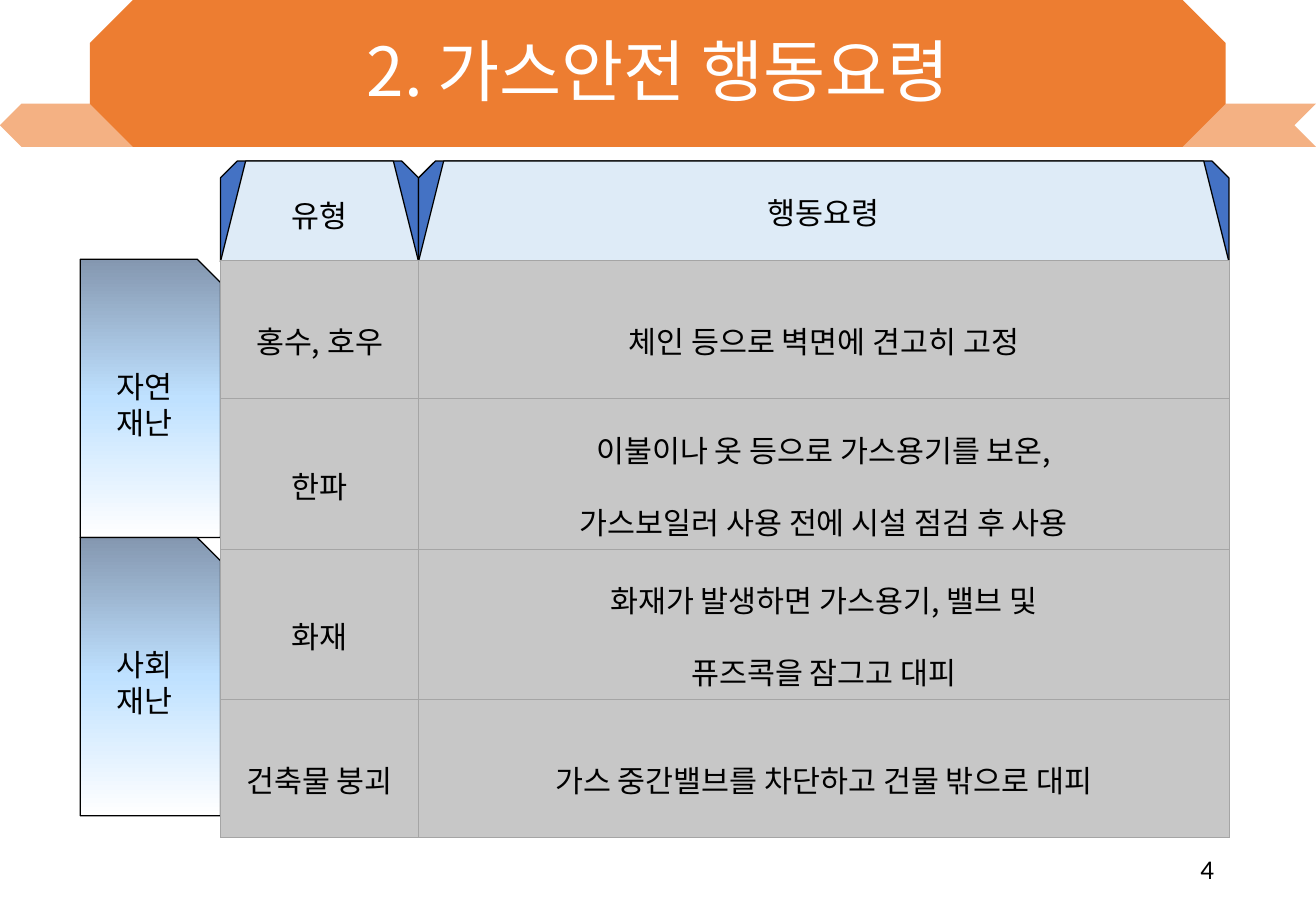
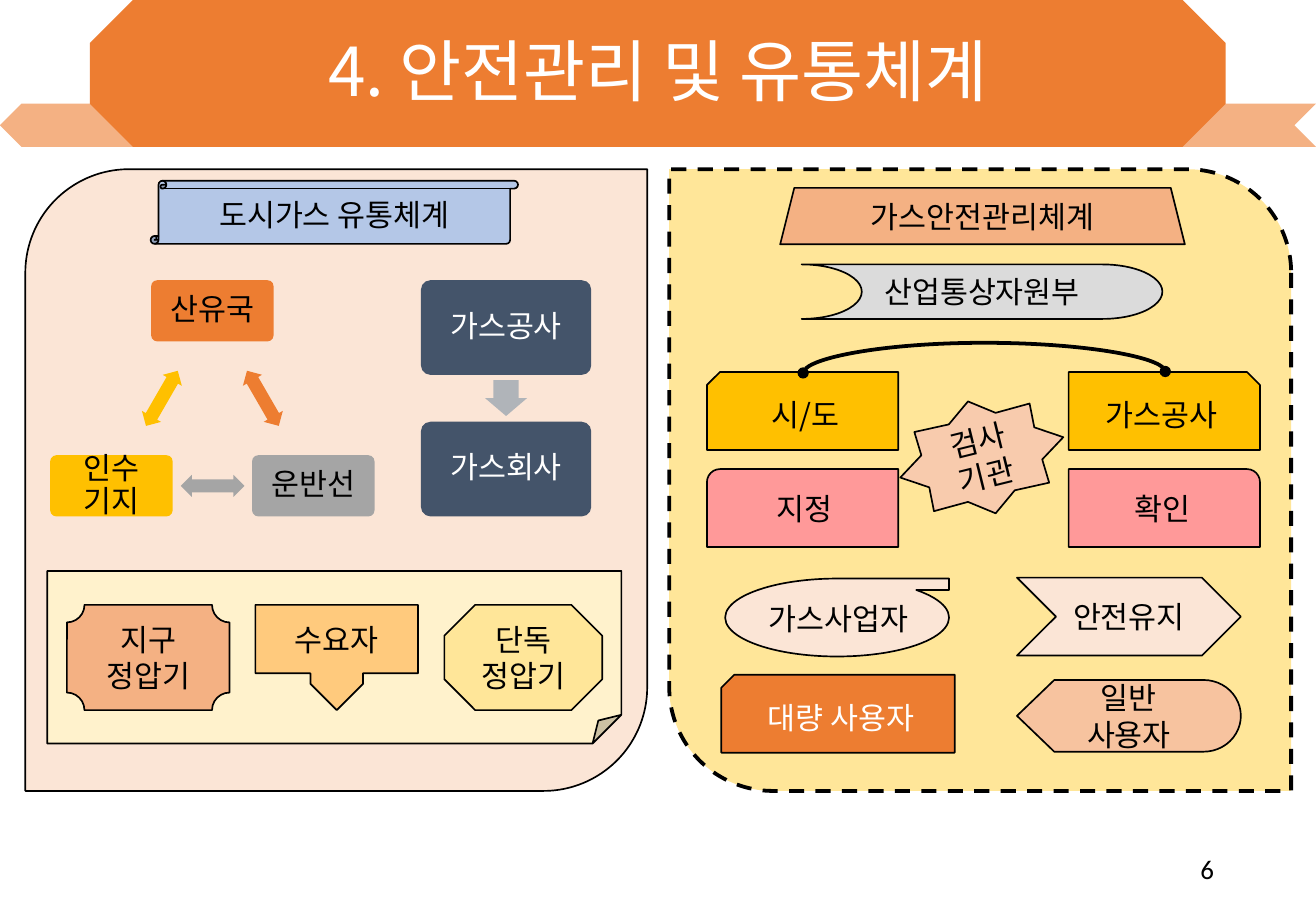
import copy

import pptx
import pptx.dml.color
import pptx.enum.dml
import pptx.enum.shapes
import pptx.enum.text
import pptx.oxml
import pptx.oxml.ns
import pptx.util
from lxml import etree

Cm = pptx.util.Cm
Pt = pptx.util.Pt
RGBColor = pptx.dml.color.RGBColor
SHAPE = pptx.enum.shapes.MSO_SHAPE
ALIGN = pptx.enum.text.PP_ALIGN
MIDDLE = pptx.enum.text.MSO_ANCHOR.MIDDLE
qn = pptx.oxml.ns.qn

KOREAN = "Noto Sans CJK KR"
BLACK = RGBColor(0x00, 0x00, 0x00)
WHITE = RGBColor(0xFF, 0xFF, 0xFF)
ORANGE = RGBColor(0xED, 0x7D, 0x31)
LIGHT_ORANGE = RGBColor(0xF4, 0xB1, 0x83)
SOFT_ORANGE = RGBColor(0xF7, 0xC3, 0x9F)
APRICOT = RGBColor(0xFF, 0xCA, 0x7D)
PEACH = RGBColor(0xF8, 0xCB, 0xAD)
PALE_PEACH = RGBColor(0xFB, 0xE5, 0xD6)
GOLD = RGBColor(0xFF, 0xC0, 0x00)
LIGHT_YELLOW = RGBColor(0xFF, 0xE6, 0x99)
CREAM = RGBColor(0xFF, 0xF2, 0xCC)
PINK = RGBColor(0xFF, 0x99, 0x99)
BLUE = RGBColor(0x44, 0x72, 0xC4)
LIGHT_BLUE = RGBColor(0xB4, 0xC7, 0xE7)
PALE_BLUE = RGBColor(0xDE, 0xEB, 0xF7)
SKY = RGBColor(0xBF, 0xE1, 0xFF)
SLATE = RGBColor(0x84, 0x97, 0xB0)
NAVY = RGBColor(0x44, 0x54, 0x6A)
GRAY = RGBColor(0xA5, 0xA5, 0xA5)
ARROW_GRAY = RGBColor(0xB0, 0xB4, 0xB9)
CELL_GRAY = RGBColor(0xC7, 0xC7, 0xC7)
LIGHT_GRAY = RGBColor(0xDB, 0xDB, 0xDB)


def write_text(frame, text, size=18, color=BLACK, font=KOREAN, align=ALIGN.CENTER,
               spacing=None, gap=0, margin=None):
    """Fill a text frame, one paragraph per line of text."""
    frame.word_wrap = True
    frame.vertical_anchor = MIDDLE
    if margin is not None:
        frame.margin_left = frame.margin_right = Cm(margin)
        frame.margin_top = frame.margin_bottom = Cm(margin)
    for index, line in enumerate(text.split("\n")):
        paragraph = frame.add_paragraph() if index else frame.paragraphs[0]
        paragraph.alignment = align
        if spacing:
            paragraph.line_spacing = spacing
        if index and gap:
            paragraph.space_before = Pt(gap)
        run = paragraph.add_run()
        run.text = line
        run.font.size = Pt(size)
        run.font.color.rgb = color
        run.font.name = font
        east_asian = etree.SubElement(run.font._element, qn("a:ea"))
        east_asian.set("typeface", font)


def add_shape(slide, kind, left, top, width, height, fill, text="", line=1, flip=None,
              rotation=0, adjust=(), **text_format):
    """Add a preset shape placed in centimetres; line is a width in points."""
    shape = slide.shapes.add_shape(kind, Cm(left), Cm(top), Cm(width), Cm(height))
    shape.shadow.inherit = False
    shape.fill.solid()
    shape.fill.fore_color.rgb = fill
    if line:
        shape.line.width = Pt(line)
        shape.line.color.rgb = BLACK
    else:
        shape.line.fill.background()
    shape.rotation = rotation
    if flip:
        shape._element.spPr.xfrm.set(flip, "1")
    for index, value in enumerate(adjust):
        shape.adjustments[index] = value
    if text:
        write_text(shape.text_frame, text, **text_format)
    return shape


presentation = pptx.Presentation()
presentation.slide_width = Cm(27.51)
presentation.slide_height = Cm(19.05)

# Shared banner, title and page number
slides = []
for title, number in (("2. 가스안전 행동요령", "4"), ("4. 안전관리 및 유통체계", "6")):
    slide = presentation.slides.add_slide(presentation.slide_layouts[6])
    add_shape(slide, SHAPE.CHEVRON, 0, 2.17, 27.51, 0.9, LIGHT_ORANGE, line=0, flip="flipH")
    add_shape(slide, SHAPE.OCTAGON, 1.88, 0, 23.74, 3.07, ORANGE, line=0)
    title_box = slide.shapes.add_textbox(0, Cm(0.05), Cm(27.51), Cm(3.02))
    write_text(title_box.text_frame, title, size=40, color=WHITE, spacing=0.9)
    number_box = slide.shapes.add_textbox(Cm(19.43), Cm(17.65), Cm(6.2), Cm(1.02))
    write_text(number_box.text_frame, number, size=16, font="Calibri", align=ALIGN.RIGHT)
    slides.append(slide)
action_slide, system_slide = slides

# Slide 1: column headings
TABLE_LEFT, TABLE_TOP = 4.61, 5.44
COLUMN_WIDTHS = (4.14, 16.94)
left = TABLE_LEFT
for heading, width in zip(("유형", "행동요령"), COLUMN_WIDTHS):
    box = (left, 3.37, width, 2.1)
    add_shape(action_slide, SHAPE.SNIP_2_SAME_RECTANGLE, *box, BLUE, line=0.75)
    add_shape(action_slide, SHAPE.TRAPEZOID, *box, PALE_BLUE, heading, line=0.75)
    left += width

# Slide 1: gradient row groups
for index, label in enumerate(("자연\n재난", "사회\n재난")):
    tab = add_shape(action_slide, SHAPE.SNIP_1_RECTANGLE, 1.68, 5.42 + index * 5.82,
                    2.93, 5.82, SLATE, label, line=0.75)
    tab.fill.gradient()
    tab.fill.gradient_angle = 270
    stop_list = tab._element.spPr.find(qn("a:gradFill")).find(qn("a:gsLst"))
    stop_list.append(copy.deepcopy(stop_list[-1]))
    for stop, position, color in zip(tab.fill.gradient_stops, (0, 0.5, 1), (SLATE, SKY, WHITE)):
        stop.position = position
        stop.color.rgb = color

# Slide 1: table
ROWS = (
    ("홍수, 호우", "체인 등으로 벽면에 견고히 고정"),
    ("한파", "이불이나 옷 등으로 가스용기를 보온,\n가스보일러 사용 전에 시설 점검 후 사용"),
    ("화재", "화재가 발생하면 가스용기, 밸브 및\n퓨즈콕을 잠그고 대피"),
    ("건축물 붕괴", "가스 중간밸브를 차단하고 건물 밖으로 대피"),
)
ROW_HEIGHTS = (2.9, 3.14, 3.14, 2.9)
table = action_slide.shapes.add_table(
    len(ROWS), 2, Cm(TABLE_LEFT), Cm(TABLE_TOP), Cm(sum(COLUMN_WIDTHS)), Cm(sum(ROW_HEIGHTS))
).table
table.first_row = table.horz_banding = False
for column, width in zip(table.columns, COLUMN_WIDTHS):
    column.width = Cm(width)
for row, height, texts in zip(table.rows, ROW_HEIGHTS, ROWS):
    row.height = Cm(height)
    for cell, text in zip(row.cells, texts):
        write_text(cell.text_frame, text, spacing=1.5, gap=3.6)
        cell.vertical_anchor = MIDDLE
        cell.margin_top = cell.margin_bottom = Cm(0.13)
        properties = cell._tc.get_or_add_tcPr()
        for side in ("lnL", "lnR", "lnT", "lnB"):
            border = etree.SubElement(properties, qn("a:" + side), w=str(Pt(0.5)))
            border_fill = etree.SubElement(border, qn("a:solidFill"))
            etree.SubElement(border_fill, qn("a:srgbClr"), val=str(GRAY))
        cell.fill.solid()
        cell.fill.fore_color.rgb = CELL_GRAY

# Slide 2: left panel with heading and tray
add_shape(system_slide, SHAPE.ROUND_2_DIAG_RECTANGLE, 0.53, 3.54, 13, 13, PALE_PEACH)
add_shape(system_slide, SHAPE.FOLDED_CORNER, 0.99, 11.94, 12, 3.61, CREAM)
add_shape(system_slide, SHAPE.VERTICAL_SCROLL, 3.15, 3.78, 7.68, 1.32, LIGHT_BLUE,
          "도시가스 유통체계")

# Slide 2: company flow
for top, label in ((5.86, "가스공사"), (8.82, "가스회사")):
    add_shape(system_slide, SHAPE.ROUNDED_RECTANGLE, 8.8, top, 3.56, 1.98, NAVY, label,
              line=0, adjust=(0.1,), color=WHITE, spacing=0.9, margin=0.18)
add_shape(system_slide, SHAPE.DOWN_ARROW, 10.14, 7.95, 0.88, 0.75, ARROW_GRAY,
          line=0, adjust=(0.6, 0.5))

# Slide 2: supply cycle
for left, top, fill, label in (
    (3.16, 5.86, ORANGE, "산유국"),
    (5.27, 9.52, GRAY, "운반선"),
    (1.05, 9.52, GOLD, "인수\n기지"),
):
    add_shape(system_slide, SHAPE.ROUNDED_RECTANGLE, left, top, 2.56, 1.28, fill, label,
              line=0, adjust=(0.1,), spacing=0.9, margin=0.18)
for left, top, rotation, fill in (
    (4.83, 8.1, 60, ORANGE), (3.78, 9.93, 180, GRAY), (2.72, 8.1, 300, GOLD),
):
    add_shape(system_slide, SHAPE.LEFT_RIGHT_ARROW, left, top, 1.33, 0.46, fill,
              line=0, rotation=rotation, adjust=(0.6, 0.5))

# Slide 2: consumers in the tray
for kind, left, width, fill, label, adjust in (
    (SHAPE.PLAQUE, 1.4, 3.4, LIGHT_ORANGE, "지구\n정압기", ()),
    (SHAPE.DOWN_ARROW_CALLOUT, 5.34, 3.4, APRICOT, "수요자", (0.5, 0.25, 0.25, 0.65)),
    (SHAPE.OCTAGON, 9.29, 3.3, LIGHT_YELLOW, "단독\n정압기", ()),
):
    add_shape(system_slide, kind, left, 12.65, width, 2.2, fill, label, adjust=adjust)

# Slide 2: right panel with headings
right_panel = add_shape(system_slide, SHAPE.ROUND_2_DIAG_RECTANGLE, 13.99, 3.54, 13, 13,
                        LIGHT_YELLOW, line=2.25, rotation=90)
right_panel.line.dash_style = pptx.enum.dml.MSO_LINE.DASH
add_shape(system_slide, SHAPE.TRAPEZOID, 16.31, 3.93, 8.46, 1.18, LIGHT_ORANGE,
          "가스안전관리체계")
add_shape(system_slide, SHAPE.FLOWCHART_STORED_DATA, 16.76, 5.53, 7.54, 1.14, LIGHT_GRAY,
          "산업통상자원부", flip="flipH")

# Slide 2: mirrored pairs of cards
for left, flip, upper, lower in (
    (14.78, "flipH", "시/도", "지정"), (22.34, None, "가스공사", "확인"),
):
    add_shape(system_slide, SHAPE.SNIP_1_RECTANGLE, left, 7.78, 4, 1.63, GOLD, upper, flip=flip)
    add_shape(system_slide, SHAPE.ROUND_1_RECTANGLE, left, 9.81, 4, 1.63, PINK, lower, flip=flip)

# Slide 2: arc joining the two upper cards
arc = system_slide.shapes.add_connector(
    pptx.enum.shapes.MSO_CONNECTOR.CURVE, Cm(20.56), Cm(4), Cm(20.59), Cm(11.57))
arc.line.width = Pt(2.25)
arc.line.color.rgb = BLACK
arc_properties = arc._element.spPr
for name, value in (("rot", "5400000"), ("flipH", "1"), ("flipV", "1")):
    arc_properties.xfrm.set(name, value)
guides = arc_properties.find(qn("a:prstGeom")).get_or_add_avLst()
etree.SubElement(guides, qn("a:gd"), name="adj1", fmla="val 2100000")
for end in ("headEnd", "tailEnd"):
    etree.SubElement(arc.line._get_or_add_ln(), qn("a:" + end), type="oval")
etree.SubElement(arc_properties, qn("a:effectLst"))

# Slide 2: inspection body and users
add_shape(system_slide, SHAPE.STAR_8_POINT, 18.77, 8.36, 3.51, 2.41, PEACH, "검사\n기관",
          rotation=346.1)
add_shape(system_slide, SHAPE.FLOWCHART_SEQUENTIAL_ACCESS_STORAGE, 15.16, 12.1, 4.68, 1.63,
          PALE_PEACH, flip="flipV")
operator_box = system_slide.shapes.add_textbox(Cm(15.34), Cm(12.42), Cm(4.37), Cm(1.02))
write_text(operator_box.text_frame, "가스사업자")
add_shape(system_slide, SHAPE.CHEVRON, 21.26, 12.08, 4.68, 1.63, PALE_PEACH, "안전유지")
add_shape(system_slide, SHAPE.SNIP_1_RECTANGLE, 15.08, 14.11, 4.88, 1.63, ORANGE,
          "대량 사용자", flip="flipH", color=WHITE)
add_shape(system_slide, SHAPE.FLOWCHART_DISPLAY, 21.26, 14.22, 4.68, 1.5, SOFT_ORANGE,
          "일반 사용자")

presentation.save("out.pptx")
